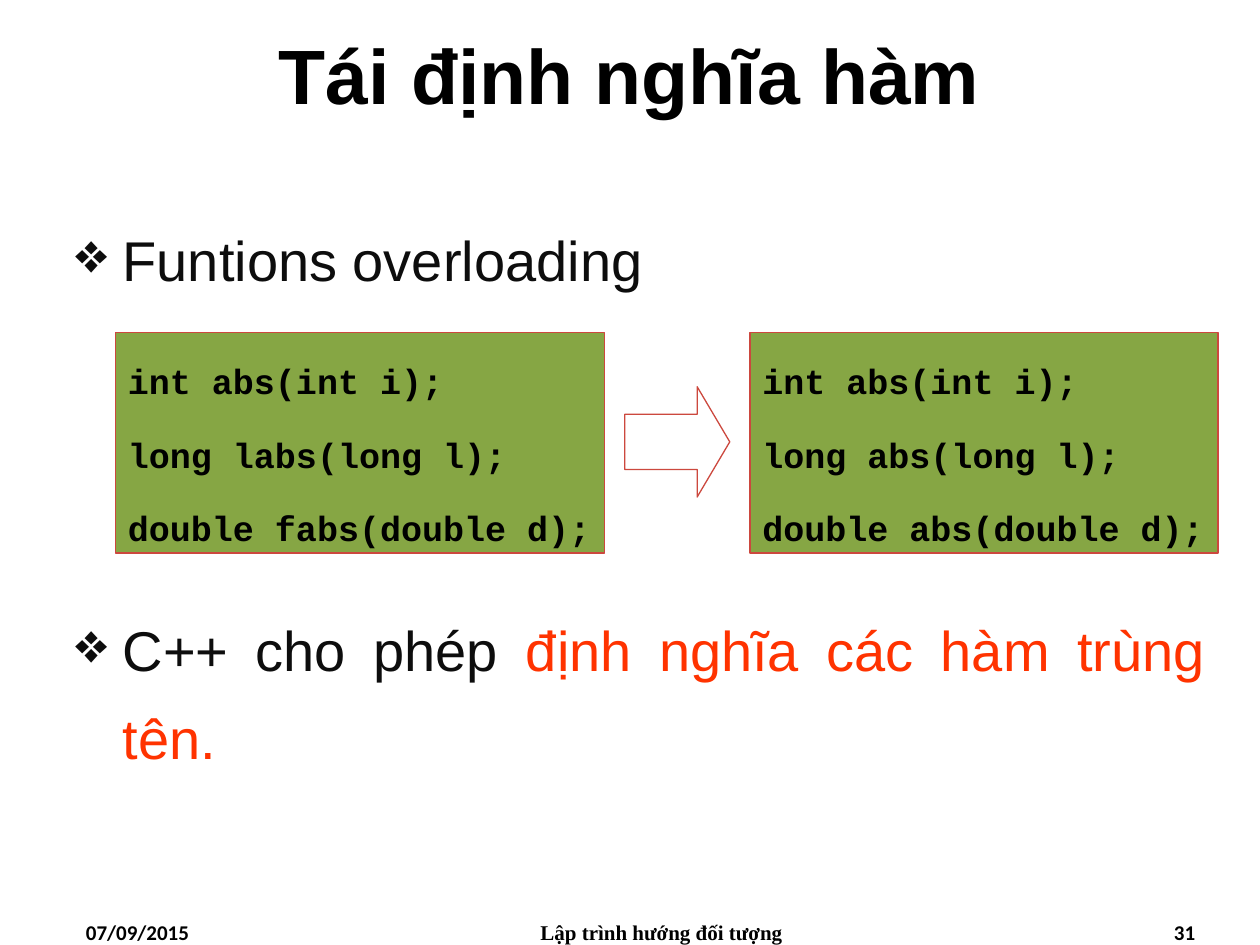
from dataclasses import dataclass

from lxml.etree import SubElement
from pptx import Presentation
from pptx.dml.color import RGBColor
from pptx.enum.shapes import MSO_SHAPE
from pptx.enum.text import MSO_ANCHOR, PP_ALIGN
from pptx.oxml.ns import qn
from pptx.util import Pt

BLACK = RGBColor(0x00, 0x00, 0x00)
INK = RGBColor(0x0D, 0x0D, 0x0D)
RED = RGBColor(0xFF, 0x33, 0x00)
GREEN = RGBColor(0x86, 0xA6, 0x44)
EDGE = RGBColor(0xCC, 0x48, 0x3E)

TITLE = {"name": "Arial", "size": Pt(44), "bold": True}
BODY = {"name": "Arial", "size": Pt(32), "bold": False}
CODE = {"name": "Courier New", "size": Pt(20), "bold": True}
DATE = {"name": "Calibri", "size": Pt(12), "bold": True}
FOOT = DATE | {"name": "Times New Roman"}

POINT = {"alignment": PP_ALIGN.JUSTIFY, "line_spacing": 1.3,
         "space_before": Pt(3), "space_after": Pt(3)}
# Room for the code panels between the two points
LOW = POINT | {"space_before": Pt(170)}
ROW = {"alignment": PP_ALIGN.LEFT, "line_spacing": 1.5, "space_before": Pt(6)}


@dataclass
class Box:
    left: float
    top: float
    width: float
    height: float

    def span(self) -> tuple:
        return Pt(self.left), Pt(self.top), Pt(self.width), Pt(self.height)


@dataclass
class Label:
    box: Box
    text: str
    font: dict
    align: PP_ALIGN
    anchor: MSO_ANCHOR = MSO_ANCHOR.TOP


@dataclass
class Panel:
    box: Box
    lines: list[str]


LABELS = [
    Label(Box(0, 0, 720, 84), "Tái định nghĩa hàm", TITLE,
          PP_ALIGN.CENTER, MSO_ANCHOR.MIDDLE),
    Label(Box(42, 522, 168, 18), "07/09/2015", DATE, PP_ALIGN.LEFT),
    Label(Box(264, 522, 228, 18), "Lập trình hướng đối tượng", FOOT,
          PP_ALIGN.CENTER),
    Label(Box(522, 522, 168, 18), "31", DATE, PP_ALIGN.RIGHT),
]
POINTS = [
    (POINT, [("Funtions overloading", INK)]),
    (LOW, [("C++ cho phép ", INK), ("định nghĩa các hàm trùng tên.", RED)]),
]
PANELS = [
    Panel(Box(66, 190, 279.5, 126),
          ["int abs(int i);", "long labs(long l);", "double fabs(double d);"]),
    Panel(Box(428.5, 190, 267.5, 126),
          ["int abs(int i);", "long abs(long l);", "double abs(double d);"]),
]


def apply(item, style: dict) -> None:
    for key, value in style.items():
        setattr(item, key, value)


def add_run(para, text: str, font: dict, color: RGBColor) -> None:
    run = para.add_run()
    run.text = text
    apply(run.font, font)
    run.font.color.rgb = color


def add_mark(para) -> None:
    """Give a paragraph a hanging diamond bullet."""
    props = para._p.get_or_add_pPr()
    props.set("marL", str(Pt(27)))
    props.set("indent", str(Pt(-27)))
    SubElement(props, qn("a:buChar")).set("char", "❖")


def next_para(frame, index: int):
    return frame.add_paragraph() if index else frame.paragraphs[0]


def add_frame(slide, box: Box):
    frame = slide.shapes.add_textbox(*box.span()).text_frame
    frame.word_wrap = True
    return frame


def add_label(slide, label: Label) -> None:
    frame = add_frame(slide, label.box)
    frame.vertical_anchor = label.anchor
    para = frame.paragraphs[0]
    para.alignment = label.align
    add_run(para, label.text, label.font, BLACK)


def add_points(slide, box: Box) -> None:
    frame = add_frame(slide, box)
    for index, (style, runs) in enumerate(POINTS):
        para = next_para(frame, index)
        apply(para, style)
        add_mark(para)
        for text, color in runs:
            add_run(para, text, BODY, color)


def add_shape(slide, kind: MSO_SHAPE, box: Box):
    shape = slide.shapes.add_shape(kind, *box.span())
    shape.shadow.inherit = False
    shape.fill.background()
    shape.line.color.rgb = EDGE
    shape.line.width = Pt(0.75)
    return shape


def add_panel(slide, panel: Panel) -> None:
    shape = add_shape(slide, MSO_SHAPE.RECTANGLE, panel.box)
    shape.fill.solid()
    shape.fill.fore_color.rgb = GREEN
    frame = shape.text_frame
    apply(frame, {"word_wrap": True, "margin_right": 0,
                  "vertical_anchor": MSO_ANCHOR.TOP})
    for index, line in enumerate(panel.lines):
        para = next_para(frame, index)
        apply(para, ROW)
        add_run(para, line, CODE, BLACK)


def main() -> None:
    deck = Presentation()
    apply(deck, {"slide_width": Pt(720), "slide_height": Pt(540)})
    slide = deck.slides.add_slide(deck.slide_layouts[6])
    for label in LABELS:
        add_label(slide, label)
    add_points(slide, Box(36, 114, 660, 388))
    for panel in PANELS:
        add_panel(slide, panel)
    arrow = add_shape(slide, MSO_SHAPE.RIGHT_ARROW, Box(357, 221, 60, 63))
    arrow.adjustments[0] = 0.5
    arrow.adjustments[1] = 0.31
    deck.save("out.pptx")


if __name__ == "__main__":
    main()
